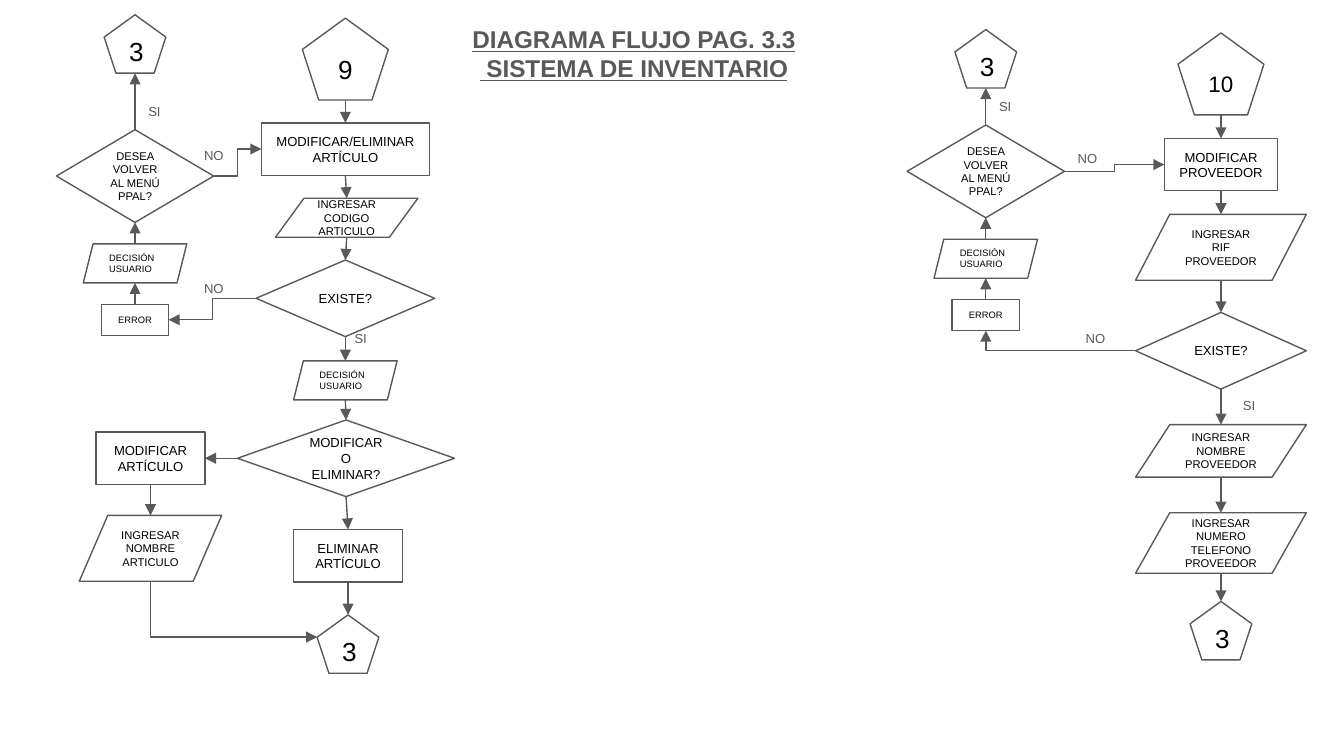
from lxml.etree import SubElement
from pptx import Presentation
from pptx.dml.color import RGBColor
from pptx.enum.shapes import MSO_CONNECTOR, MSO_SHAPE
from pptx.enum.text import MSO_ANCHOR, MSO_AUTO_SIZE, PP_ALIGN
from pptx.oxml.ns import qn
from pptx.util import Inches, Pt

COLUMNS, ROWS = 100, 56.25
GRAY, BLACK, WHITE = "595959", "000000", "FFFFFF"


def color(value):
    return RGBColor.from_string(value)


def write(frame, text, size, ink=BLACK, align=PP_ALIGN.CENTER,
          anchor=MSO_ANCHOR.MIDDLE, bold=False, underline=False, bottom=0.1):
    frame.word_wrap = True
    frame.auto_size = MSO_AUTO_SIZE.NONE
    frame.vertical_anchor = anchor
    frame.margin_left = frame.margin_right = frame.margin_top = Inches(0.1)
    frame.margin_bottom = Inches(bottom)
    for index, line in enumerate(text.split("\n")):
        paragraph = frame.add_paragraph() if index else frame.paragraphs[0]
        paragraph.alignment = align
        run = paragraph.add_run()
        run.text = line
        run.font.name = "Arial"
        run.font.size = Pt(size)
        run.font.bold = bold
        run.font.underline = underline
        run.font.color.rgb = color(ink)


class Flowchart:
    line_width = Pt(0.75)

    def __init__(self, deck):
        self.slide = deck.slides.add_slide(deck.slide_layouts[6])
        self.column = deck.slide_width / COLUMNS
        self.row = deck.slide_height / ROWS

    def place(self, left, top, width, height):
        return (round(left * self.column), round(top * self.row),
                round(width * self.column), round(height * self.row))

    def node(self, kind, center, top, width, height, text, size, **style):
        step = self.slide.shapes.add_shape(
            kind, *self.place(center - width / 2, top, width, height))
        step.shadow.inherit = False
        step.fill.solid()
        step.fill.fore_color.rgb = color(WHITE)
        step.line.color.rgb = color(GRAY)
        step.line.width = self.line_width
        write(step.text_frame, text, size, **style)
        return step

    def page(self, center, top, text="3", width=4.6, height=4.35, size=14):
        return self.node(MSO_SHAPE.REGULAR_PENTAGON, center, top, width, height, text, size)

    def process(self, center, top, width, text, height=3.9, size=7):
        return self.node(MSO_SHAPE.RECTANGLE, center, top, width, height, text, size)

    def question(self, center, top, width, text, height=5.7, size=7):
        return self.node(MSO_SHAPE.DIAMOND, center, top, width, height, text, size)

    def entry(self, center, top, width, height, text):
        return self.node(MSO_SHAPE.FLOWCHART_DATA, center, top, width, height, text, 6)

    def decision(self, center, top):
        return self.node(MSO_SHAPE.PARALLELOGRAM, center, top, 7.7, 2.9,
                         "DECISIÓN USUARIO", 5, align=PP_ALIGN.LEFT)

    def text(self, left, top, width, height, content, size, **style):
        box = self.slide.shapes.add_textbox(*self.place(left, top, width, height))
        write(box.text_frame, content, size, ink=GRAY, anchor=MSO_ANCHOR.TOP, **style)

    def label(self, left, top, content, width=4.4, height=1.7):
        self.text(left, top, width, height, content, 7, align=PP_ALIGN.LEFT, bottom=0)

    def site(self, step, side):
        middle = 0.38 if step.auto_shape_type == MSO_SHAPE.REGULAR_PENTAGON else 0.5
        across, down = {"top": (0.5, 0), "bottom": (0.5, 1),
                        "left": (0, middle), "right": (1, middle)}[side]
        return round(step.left + across * step.width), round(step.top + down * step.height)

    def arrow(self, start, end, leave="bottom", arrive="top",
              kind=MSO_CONNECTOR.STRAIGHT, point="tailEnd"):
        link = self.slide.shapes.add_connector(
            kind, *self.site(start, leave), *self.site(end, arrive))
        link.line.color.rgb = color(GRAY)
        link.line.width = self.line_width
        properties = link.element.spPr
        SubElement(properties.find(qn("a:ln")), qn("a:" + point), type="triangle")
        SubElement(properties, qn("a:effectLst"))
        return link

    def elbow(self, start, end, leave, arrive):
        self.arrow(start, end, leave, arrive, kind=MSO_CONNECTOR.ELBOW)

    def corner(self, start, end, leave, arrive, point="tailEnd"):
        link = self.arrow(start, end, leave, arrive, MSO_CONNECTOR.ELBOW, point)
        properties = link.element.spPr
        properties.find(qn("a:prstGeom")).set("prst", "bentConnector2")
        turn = properties.find(qn("a:xfrm"))
        for flip in ("flipH", "flipV"):
            turn.attrib.pop(flip, None)
        turn.set("rot", "10800000")

    def chain(self, *steps, **sides):
        for start, end in zip(steps, steps[1:]):
            self.arrow(start, end, **sides)

    def return_path(self, center, page_top, question_top, decision_top, error_top, yes_top):
        menu = self.page(center, page_top)
        back = self.question(center, question_top, 11.7, "DESEA VOLVER AL MENÚ PPAL?", 6.9, 6)
        choice = self.decision(center, decision_top)
        error = self.process(center, error_top, 5, "ERROR", 2.3, 5)
        self.chain(error, choice, back, menu, leave="top", arrive="bottom")
        self.label(center, yes_top, "SI", 3.3)
        return back, error


def article_flow(chart):
    start = chart.page(25.7, 1.35, "9", 6.4, 6.1)
    edit = chart.process(25.7, 9.15, 12.5, "MODIFICAR/ELIMINAR ARTÍCULO")
    code = chart.entry(25.8, 14.75, 10.6, 2.9, "INGRESAR CODIGO ARTICULO")
    exists = chart.question(25.7, 19.35, 13.3, "EXISTE?")
    choice = chart.decision(25.7, 26.85)
    action = chart.question(25.75, 31.25, 16.15, "MODIFICAR O ELIMINAR?")
    delete = chart.process(25.9, 39.4, 8.1, "ELIMINAR\nARTÍCULO")
    finish = chart.page(25.9, 45.75)
    chart.chain(start, edit, code, exists, choice, action, delete, finish)

    modify = chart.process(11.2, 32.15, 8.1, "MODIFICAR\nARTÍCULO")
    name = chart.entry(11.2, 38.35, 10.6, 4.9, "INGRESAR NOMBRE ARTICULO")
    chart.arrow(action, modify, "left", "right")
    chart.arrow(modify, name)
    chart.corner(finish, name, "left", "bottom", point="headEnd")

    back, error = chart.return_path(10.05, 1.1, 9.65, 18.15, 22.65, 6.7)
    chart.elbow(back, edit, "right", "left")
    chart.elbow(exists, error, "left", "right")
    chart.label(14.2, 10, "NO", height=2.2)
    chart.label(14.2, 19.9, "NO")
    chart.label(25.4, 23.6, "SI")


def supplier_flow(chart):
    center, width = 90.85, 12.7
    start = chart.page(center, 2.45, "10", 6.4, 6.1, 12)
    edit = chart.process(center, 10.3, 8.4, "MODIFICAR PROVEEDOR")
    tax_id = chart.entry(center, 15.95, width, 4.9, "INGRESAR RIF\nPROVEEDOR")
    exists = chart.question(center, 23.25, width, "EXISTE?")
    name = chart.entry(center, 31.6, width, 3.9, "INGRESAR NOMBRE PROVEEDOR")
    phone = chart.entry(center, 38.15, width, 4.5, "INGRESAR NUMERO TELEFONO PROVEEDOR")
    finish = chart.page(center, 44.75)
    chart.chain(start, edit, tax_id, exists, name, phone, finish)

    back, error = chart.return_path(73.35, 2.2, 9.3, 17.8, 22.3, 6.3)
    chart.elbow(back, edit, "right", "left")
    chart.corner(exists, error, "left", "bottom")
    chart.label(79.2, 10.2, "NO")
    chart.label(79.8, 23.6, "NO")
    chart.label(91.5, 28.6, "SI")


def main():
    deck = Presentation()
    deck.slide_width, deck.slide_height = Inches(10), Inches(5.625)
    chart = Flowchart(deck)
    chart.text(26.8, 0.8, 40.7, 4.7, "DIAGRAMA FLUJO PAG. 3.3\n SISTEMA DE INVENTARIO",
               13, bold=True, underline=True)
    article_flow(chart)
    supplier_flow(chart)
    deck.save("out.pptx")


if __name__ == "__main__":
    main()
